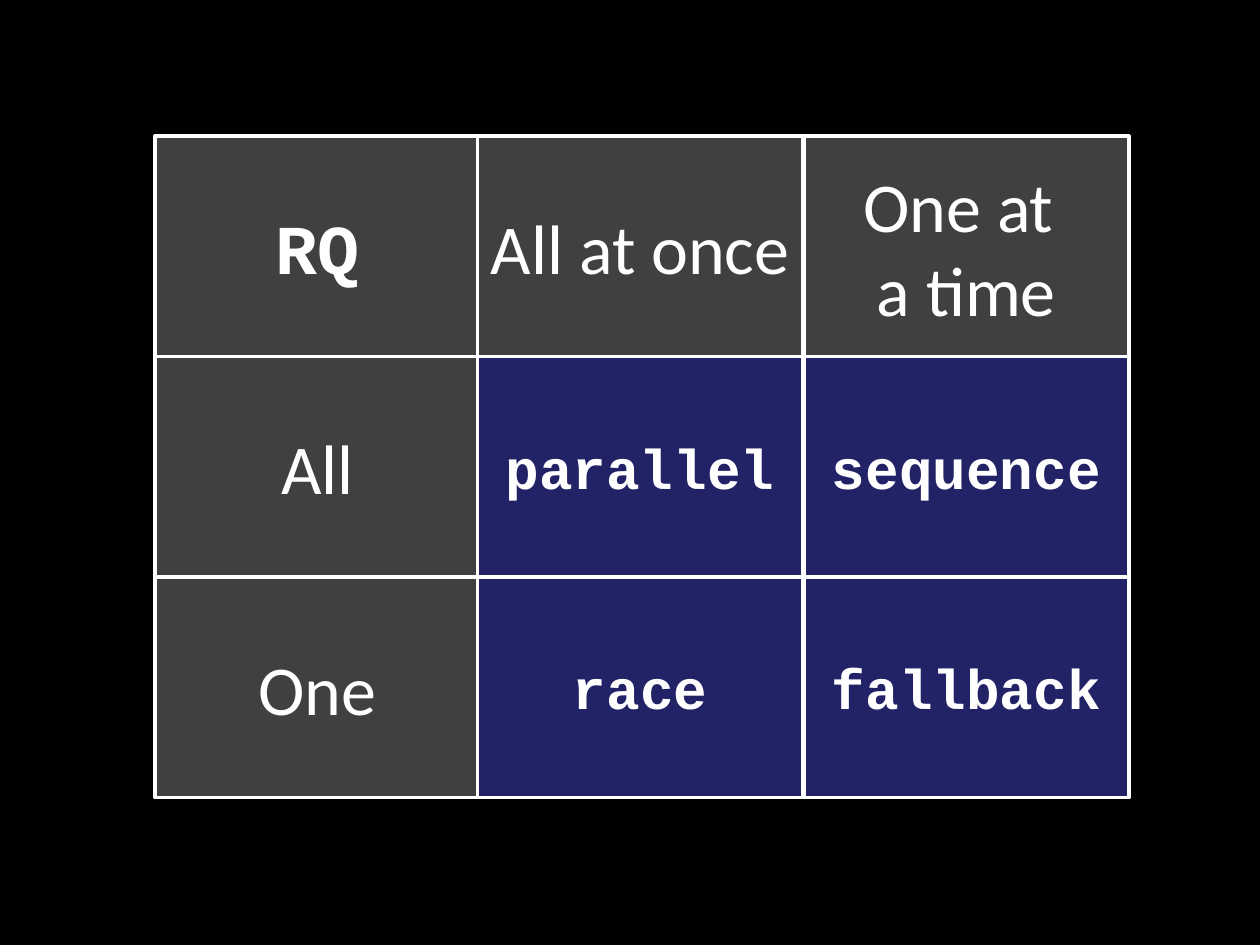
import pptx
import pptx.dml.color
import pptx.enum.shapes
import pptx.enum.text
import pptx.util
from pptx.util import Inches

# Content: first row and first column are headings; \v is a line break
GRID = [
    ["RQ", "All at once", "One at \va time"],
    ["All", "parallel", "sequence"],
    ["One", "race", "fallback"],
]

# Layout in inches
COLUMN_LEFTS = [1.23, 3.79, 6.38]
TOP = 1.08
CELL_WIDTH, CELL_HEIGHT = 2.58, 1.75

# Styles: fill, font, size, bold
CORNER = ("404040", "Courier New", 40, True)
HEADING = ("404040", "Calibri", 40, False)
OPERATION = ("222267", "Courier New", 32, True)


def color(hex_string):
    return pptx.dml.color.RGBColor.from_string(hex_string)


def cell_style(row, column):
    if row == 0 and column == 0:
        return CORNER
    return OPERATION if row and column else HEADING


def add_cell(slide, row, column, text):
    fill, font_name, size, bold = cell_style(row, column)
    shape = slide.shapes.add_shape(
        pptx.enum.shapes.MSO_SHAPE.RECTANGLE,
        Inches(COLUMN_LEFTS[column]), Inches(TOP + row * CELL_HEIGHT),
        Inches(CELL_WIDTH), Inches(CELL_HEIGHT))
    shape.shadow.inherit = False
    shape.fill.solid()
    shape.fill.fore_color.rgb = color(fill)
    shape.line.color.rgb = color("FFFFFF")
    shape.line.width = pptx.util.Pt(2)

    text_frame = shape.text_frame
    text_frame.word_wrap = True
    text_frame.vertical_anchor = pptx.enum.text.MSO_ANCHOR.MIDDLE
    text_frame.text = text
    paragraph = text_frame.paragraphs[0]
    paragraph.alignment = pptx.enum.text.PP_ALIGN.CENTER
    for run in paragraph.runs:
        run.font.name = font_name
        run.font.size = pptx.util.Pt(size)
        run.font.bold = bold
        run.font.color.rgb = color("FFFFFF")


def main():
    presentation = pptx.Presentation()
    presentation.slide_width = Inches(10)
    presentation.slide_height = Inches(7.5)
    slide = presentation.slides.add_slide(presentation.slide_layouts[6])

    # Black background
    slide.background.fill.solid()
    slide.background.fill.fore_color.rgb = color("000000")

    # Grid of boxes
    for row, texts in enumerate(GRID):
        for column, text in enumerate(texts):
            add_cell(slide, row, column, text)

    presentation.save("out.pptx")


if __name__ == "__main__":
    main()
